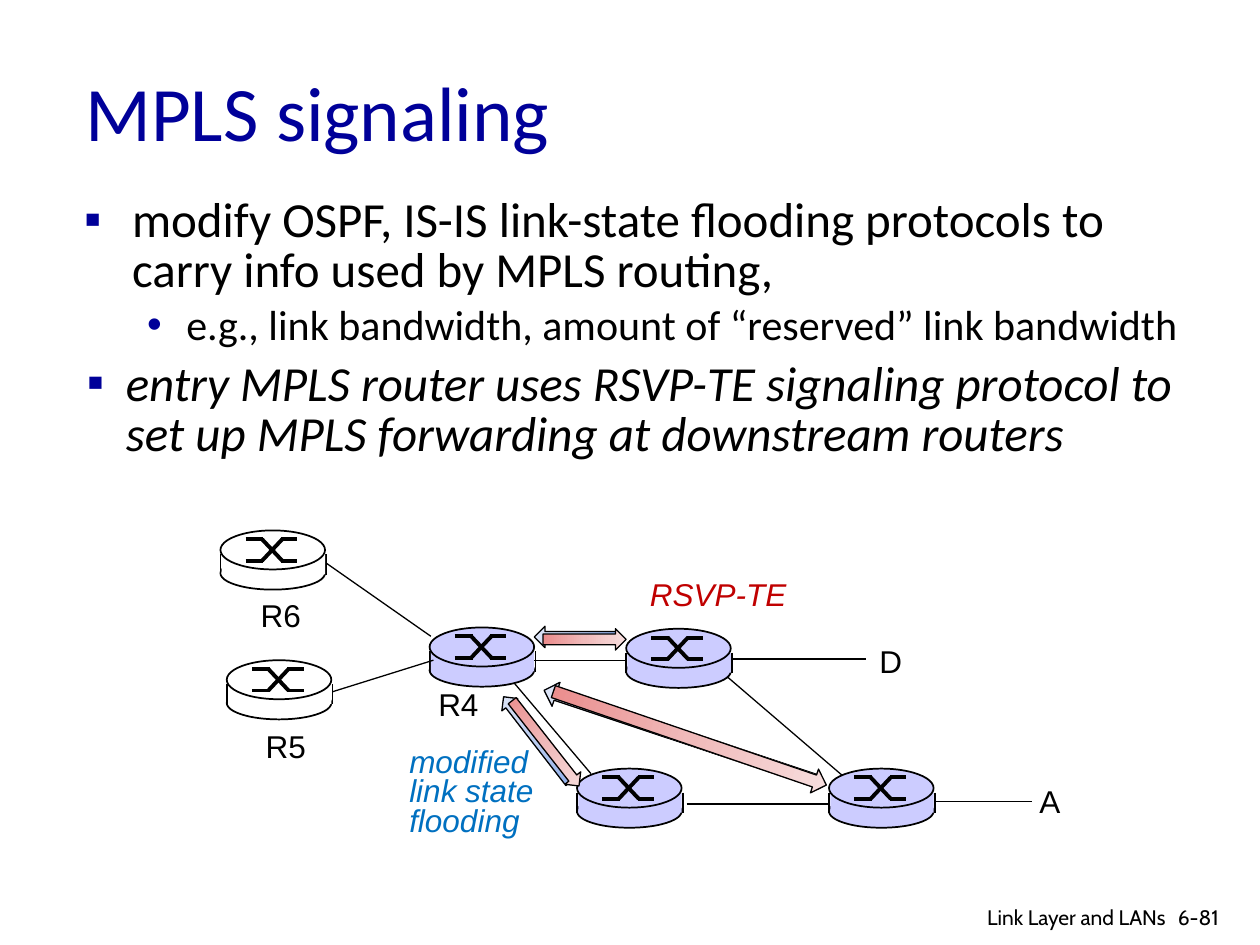
from copy import deepcopy
from typing import NamedTuple

from lxml.etree import SubElement
from pptx import Presentation
from pptx.dml.color import RGBColor
from pptx.enum.shapes import MSO_CONNECTOR, MSO_SHAPE as Shape
from pptx.enum.text import MSO_ANCHOR as Anchor, MSO_AUTO_SIZE as AutoSize, PP_ALIGN as Align
from pptx.oxml.ns import qn
from pptx.util import Inches, Pt

BLACK, WHITE, NAVY, LILAC = "000000", "FFFFFF", "000099", "CCCCFF"
BLUE_GRADIENT = ("8CADEA", "BACCF0", "DEE6F7")
RED_GRADIENT = ("EA8C8C", "F0BABA", "F7DEDE")


class Router(NamedTuple):
    left: float
    top: float
    fill: str


class Arrow(NamedTuple):
    left: float
    top: float
    width: float
    height: float
    rotation: float


class Bullet(NamedTuple):
    text: str
    character: str
    size: float
    margin: float
    hanging: float
    level: int = 0
    italic: bool = False


ROUTERS = [
    Router(6.58, 6.1, LILAC), Router(4.58, 6.1, LILAC), Router(4.97, 4.99, LILAC),
    Router(3.41, 4.98, LILAC), Router(1.75, 4.21, WHITE), Router(1.8, 5.24, WHITE),
]
# Crossing switch symbol, measured from the router's top left corner
SYMBOL = [
    (0.2, 0.07, 0.34, 0.07), (0.48, 0.24, 0.61, 0.24), (0.33, 0.07, 0.49, 0.24),
    (0.2, 0.24, 0.34, 0.24), (0.48, 0.07, 0.61, 0.07), (0.33, 0.24, 0.49, 0.07),
]
LINKS = [
    (2.59, 4.47, 3.42, 5.05), (2.64, 5.49, 3.44, 5.24), (4.24, 5.24, 4.97, 5.24),
    (4.08, 5.42, 4.69, 6.14), (5.45, 6.38, 6.59, 6.38), (5.77, 5.37, 6.68, 6.15),
    (7.42, 6.36, 8.19, 6.36), (5.81, 5.23, 6.87, 5.23),
]
LABELS = [
    ("D", 6.88, 5.05, 0.38), ("R4", 3.38, 5.39, 0.52), ("R5", 2.01, 5.72, 0.52),
    ("A", 8.15, 6.16, 0.37), ("R6", 1.97, 4.68, 0.52),
]
FLOODING_ARROWS = [
    Arrow(4.24, 4.97, 0.66, 0.17, 180), Arrow(3.83, 5.79, 0.86, 0.16, 232.3),
    Arrow(4.26, 5.74, 2.29, 0.2, 198.4),
]
RSVP_ARROWS = [
    Arrow(4.31, 4.99, 0.66, 0.17, 0), Arrow(3.9, 5.82, 0.86, 0.16, 51.9),
    Arrow(4.33, 5.76, 2.29, 0.2, 18.9),
]
PROTOCOL_BULLETS = [
    Bullet("modify OSPF, IS-IS link-state flooding protocols to carry info used by "
           "MPLS routing,", "▪", 28, 0.38, 0.38),
    Bullet("e.g., link bandwidth, amount of “reserved” link bandwidth",
           "•", 24, 0.81, 0.31, level=1),
]
SIGNALING_BULLETS = [
    Bullet("entry MPLS router uses RSVP-TE signaling protocol to set up MPLS "
           "forwarding at downstream routers", "▪", 28, 0.31, 0.31, italic=True),
]


def rgb(color: str) -> RGBColor:
    return RGBColor.from_string(color)


def add_run(paragraph, text: str, *, size: float, font: str, color: str, italic=False):
    run = paragraph.add_run()
    run.text = text
    run.font.size, run.font.name, run.font.italic = Pt(size), font, italic
    run.font.color.rgb = rgb(color)


def add_text(parent, text: str, left: float, top: float, width: float, height: float, *,
             size=18, font="Arial", color=BLACK, italic=False, wrap=False,
             anchor=Anchor.TOP, align=Align.LEFT, spacing=None):
    """Add a text box with one paragraph for each line of text."""
    box = parent.shapes.add_textbox(Inches(left), Inches(top), Inches(width), Inches(height))
    frame = box.text_frame
    frame.word_wrap = wrap
    frame.auto_size = AutoSize.NONE if wrap else AutoSize.SHAPE_TO_FIT_TEXT
    frame.vertical_anchor = anchor
    for index, line in enumerate(text.split("\n")):
        paragraph = frame.add_paragraph() if index else frame.paragraphs[0]
        paragraph.alignment = align
        if spacing:
            paragraph.line_spacing = Pt(spacing)
        add_run(paragraph, line, size=size, font=font, color=color, italic=italic)


def add_bullets(slide, bullets: list[Bullet], left: float, top: float, width: float,
                height: float):
    box = slide.shapes.add_textbox(Inches(left), Inches(top), Inches(width), Inches(height))
    frame = box.text_frame
    frame.word_wrap = True
    for index, bullet in enumerate(bullets):
        paragraph = frame.add_paragraph() if index else frame.paragraphs[0]
        properties = paragraph._p.get_or_add_pPr()
        properties.set("marL", str(Inches(bullet.margin)))
        properties.set("indent", str(-Inches(bullet.hanging)))
        bullet_color = SubElement(properties, qn("a:buClr"))
        SubElement(bullet_color, qn("a:srgbClr"), val=NAVY)
        SubElement(properties, qn("a:buFont"), typeface="Arial")
        SubElement(properties, qn("a:buChar"), char=bullet.character)
        paragraph.level = bullet.level
        paragraph.line_spacing = 0.85
        if index:
            paragraph.space_before = Pt(bullet.size * 0.2)
        add_run(paragraph, bullet.text, size=bullet.size, font="Calibri", color=BLACK,
                italic=bullet.italic)


def add_line(parent, x1: float, y1: float, x2: float, y2: float, weight: float):
    line = parent.shapes.add_connector(
        MSO_CONNECTOR.STRAIGHT, Inches(x1), Inches(y1), Inches(x2), Inches(y2))
    line.line.color.rgb = rgb(BLACK)
    line.line.width = Pt(weight)
    SubElement(line._element.spPr, qn("a:effectLst"))


def add_shape(parent, kind: Shape, left: float, top: float, width: float, height: float, *,
              fill: str | None = None, weight: float = 0):
    shape = parent.shapes.add_shape(
        kind, Inches(left), Inches(top), Inches(width), Inches(height))
    shape.shadow.inherit = False
    if fill:
        shape.fill.solid()
        shape.fill.fore_color.rgb = rgb(fill)
    if weight:
        shape.line.color.rgb = rgb(BLACK)
        shape.line.width = Pt(weight)
    else:
        shape.line.fill.background()
    return shape


def add_router(slide, router: Router):
    group = slide.shapes.add_group_shape()
    left, top, fill = router
    add_shape(group, Shape.OVAL, left, top + 0.21, 0.83, 0.26, fill=fill, weight=1)
    for side in (left, left + 0.84):
        add_line(group, side, top + 0.19, side, top + 0.35, 1)
    add_shape(group, Shape.RECTANGLE, left + 0.01, top + 0.19, 0.82, 0.16, fill=fill)
    add_shape(group, Shape.OVAL, left, top, 0.83, 0.31, fill=fill, weight=1)
    for x1, y1, x2, y2 in SYMBOL:
        add_line(group, left + x1, top + y1, left + x2, top + y2, 2.25)


def add_arrow(parent, arrow: Arrow, colors: tuple[str, str, str]):
    """Add a block arrow that fades evenly through three colours to its tip."""
    shape = add_shape(parent, Shape.RIGHT_ARROW, *arrow[:4], weight=0.75)
    shape.rotation = arrow.rotation
    shape.fill.gradient()
    shape.fill.gradient_angle = 0
    first_stop = shape._element.spPr.find(".//" + qn("a:gs"))
    first_stop.addnext(deepcopy(first_stop))
    for index, (stop, color) in enumerate(zip(shape.fill.gradient_stops, colors)):
        stop.position = index / 2
        stop.color.rgb = rgb(color)


def main():
    presentation = Presentation()
    presentation.slide_width, presentation.slide_height = Inches(10), Inches(7.5)
    slide = presentation.slides.add_slide(presentation.slide_layouts[6])

    add_text(slide, "MPLS signaling", 0.58, 0.25, 8.5, 1.25, size=44, font="Calibri",
             color=NAVY, wrap=True, anchor=Anchor.MIDDLE)
    add_bullets(slide, PROTOCOL_BULLETS, 0.57, 1.52, 9.12, 1.48)
    add_bullets(slide, SIGNALING_BULLETS, 0.59, 2.82, 9.12, 1.16)

    for router in ROUTERS:
        add_router(slide, router)
    for link in LINKS:
        add_line(slide, *link, 0.75)
    for text, left, top, width in LABELS:
        add_text(slide, text, left, top, width, 0.4)

    flooding, rsvp = slide.shapes.add_group_shape(), slide.shapes.add_group_shape()
    for group, arrows, colors in ((flooding, FLOODING_ARROWS, BLUE_GRADIENT),
                                  (rsvp, RSVP_ARROWS, RED_GRADIENT)):
        for arrow in arrows:
            add_arrow(group, arrow, colors)
    add_text(flooding, "modified\nlink state\nflooding", 3.15, 5.9, 1.27, 0.82,
             color="0070C0", italic=True, spacing=17)
    add_text(rsvp, "RSVP-TE", 5.06, 4.58, 1.3, 0.34, color="C00000", italic=True, spacing=17)

    add_text(slide, "6-81", 9.25, 7.13, 0.6, 0.3, size=12, font="Cabin", wrap=True)
    add_text(slide, "Link Layer and LANs", 6.97, 7.13, 2.38, 0.26, size=12, font="Cabin",
             wrap=True, align=Align.RIGHT)
    presentation.save("out.pptx")


if __name__ == "__main__":
    main()
